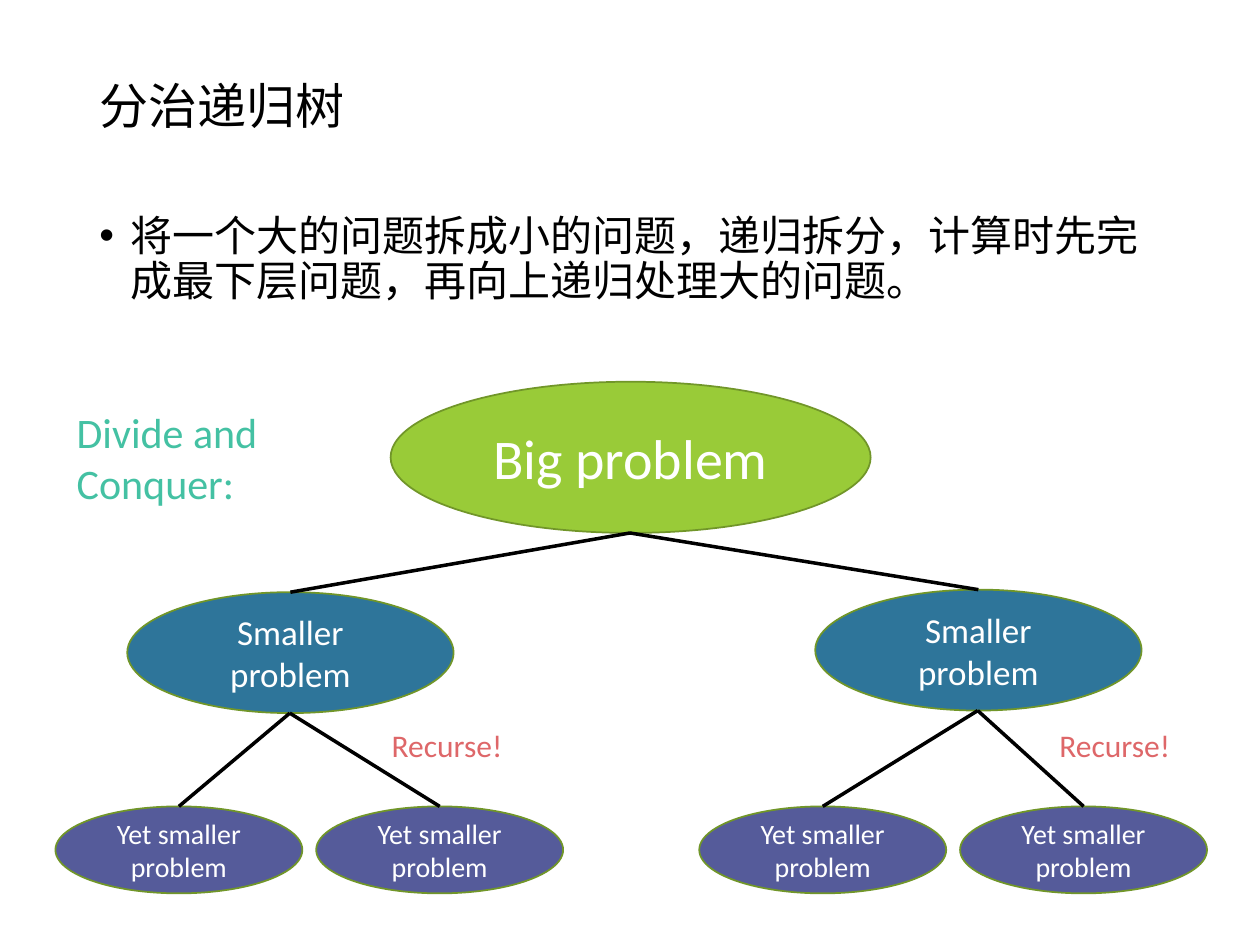
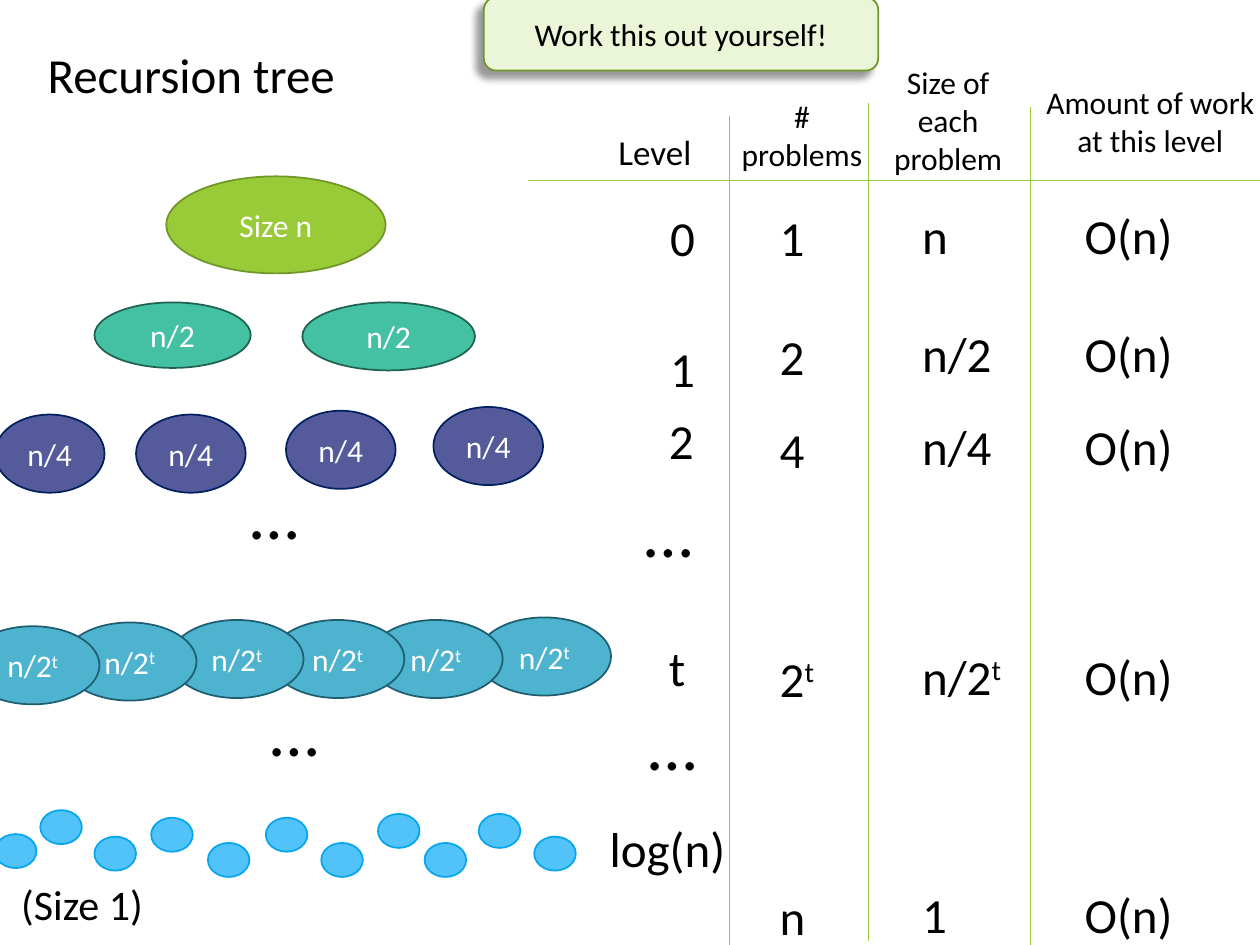
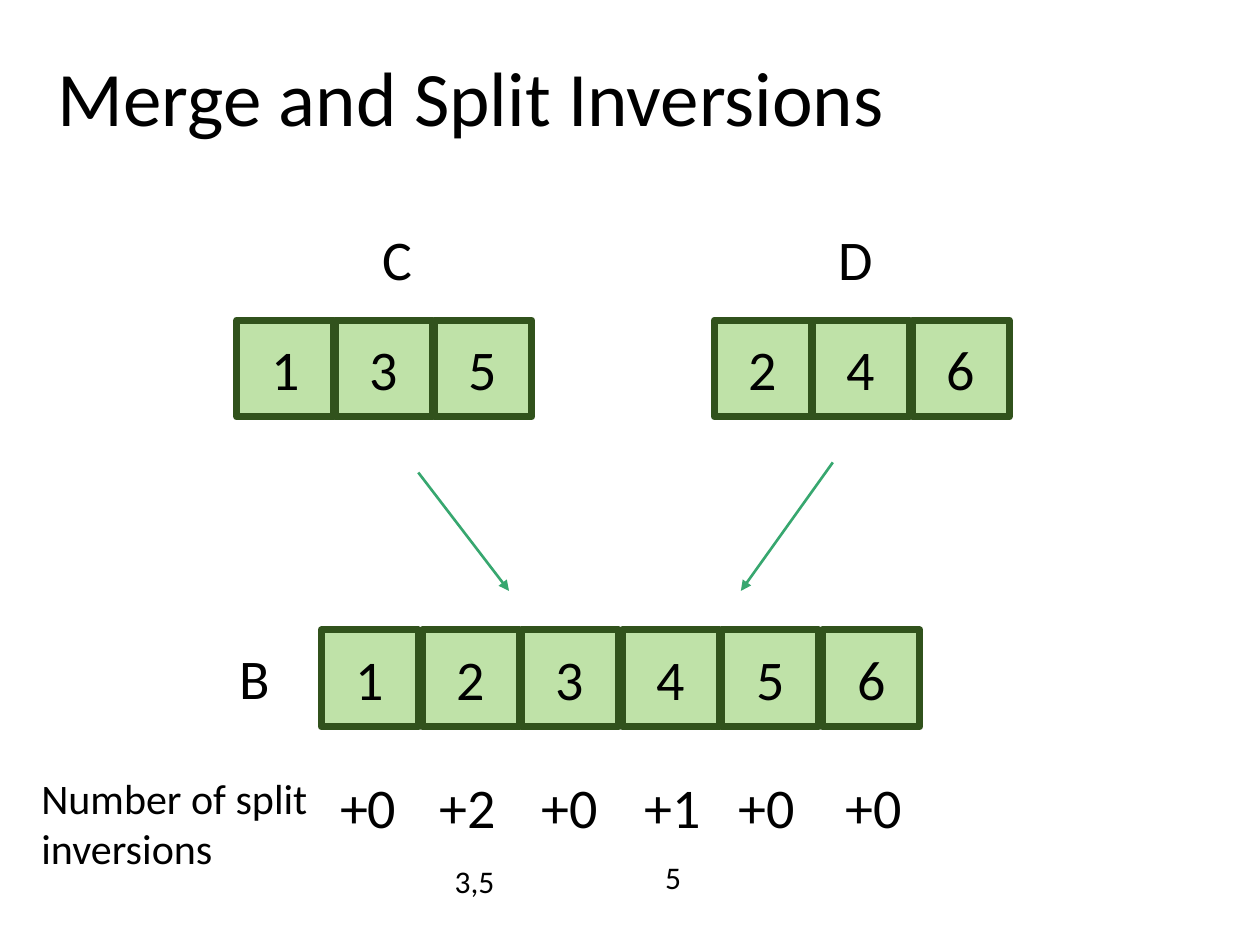
from dataclasses import dataclass

from lxml.etree import SubElement
from pptx import Presentation
from pptx.dml.color import RGBColor
from pptx.enum.shapes import MSO_CONNECTOR, MSO_SHAPE as Shape
from pptx.enum.text import MSO_ANCHOR as Anchor, MSO_AUTO_SIZE as AutoSize, PP_ALIGN as Align
from pptx.oxml.ns import qn
from pptx.util import Pt

PX = 9144  # 100 px to the inch


@dataclass(frozen=True)
class Theme:
    font: str = "Calibri"
    ink: str = "000000"
    paper: str = "FFFFFF"
    green: str = "99CB38"
    green_edge: str = "719629"
    pale_green: str = "EBF5D7"
    blue: str = "2E759A"
    violet: str = "555B9A"
    navy: str = "002060"
    mint: str = "44C1A3"
    mint_edge: str = "206252"
    teal: str = "4EB3CF"
    teal_edge: str = "1E5E70"
    sky: str = "51C3F9"
    sky_edge: str = "08A5EF"
    red: str = "DE6769"
    cell: str = "BFE2A8"
    cell_edge: str = "31521C"
    arrow: str = "37A76F"
    banner: int = 44
    dots: int = 40
    big: int = 32
    title: int = 28
    body: int = 24
    medium: int = 20
    small: int = 18
    tiny: int = 16


T = Theme()

# ---- Content: divide and conquer tree ----
TREE_TITLE = ("分治递归树", (69, 40, 862, 92), T.title)
TREE_POINT = "将一个大的问题拆成小的问题，递归拆分，计算时先完成最下层问题，再向上递归处理大的问题。"
# level: text, size, fill, type size, (left, top, index of parent in the level above)
TREE_LEVELS = [
    ("Big problem", (381, 120), T.green, T.big, [(310, 303, None)]),
    ("Smaller problem", (259, 96), T.blue, T.medium, [(101, 470, 0), (647, 468, 0)]),
    ("Yet smaller problem", (196, 69), T.violet, T.tiny,
     [(44, 640, 0), (251, 640, 0), (555, 640, 1), (762, 640, 1)]),
]
RECURSE_LEFTS = [301, 831]

# ---- Content: recursion tree and its table of costs ----
COST_TITLE = ("Recursion tree", (28, 23, 358, 77), T.title)
# text, size, fill, edge, places from back to front
BUBBLES = [
    ("Size n", (174, 77), T.green, T.green_edge, [(132, 140)]),
    ("n/2", (137, 54), T.mint, T.mint_edge, [(240, 240)]),
    ("n/2", (124, 52), T.mint, T.mint_edge, [(75, 240)]),
    ("n/4", (87, 62), T.violet, T.navy, [(344, 323), (227, 326), (108, 329), (-4, 329)]),
    ("n/2^t", (106, 62), T.teal, T.teal_edge,
     [(379, 490), (293, 492), (215, 492), (135, 492), (50, 494), (-27, 497)]),
    ("", (33, 27), T.sky, T.sky_edge,
     [(424, 664), (380, 646), (337, 669), (300, 646), (255, 669), (211, 649),
      (165, 669), (120, 649), (75, 664), (32, 643), (-4, 662)]),
]
ELLIPSIS_PLACES = [(189, 368), (205, 540), (502, 382), (505, 551)]
LEVELS = [("0", (522, 160, 40, 57)), ("1", (522, 264, 40, 57)), ("2", (521, 321, 43, 57)),
          ("t", (521, 501, 43, 57)), ("log(n)", (474, 645, 122, 57))]
# heading, box, wraps
HEADINGS = [
    ("#\nproblems", (578, 72, 117, 71), False),
    ("Size of each\nproblem", (697, 45, 111, 101), True),
    ("Amount of work at this level", (810, 61, 206, 71), True),
]
COST_COLUMNS = [
    ((609, 160, 80, 549), ["1", "2", "4", "2^t", "n"]),
    ((722, 158, 101, 549), ["n", "n/2", "n/4", "n/2^t", "1"]),
    ((851, 158, 162, 549), ["O(n)"] * 5),
]
ROW_GAPS = [0, 34, 19.5, 97.5, 102.5]  # points above each row
COLUMN_RULES = [(579, 92), (689, 82), (818, 85)]
RULE_LENGTH = 665
HEADING_RULE = ((419, 143), (1065, 143))
CALLOUT = ("Work this out yourself!", (384, -2, 313, 58))

# ---- Content: merge ----
MERGE_TITLE = ("Merge and Split Inversions", (36, 8, 862, 145), T.banner)
CELL = 77
# values, left of first and last cell, top
ARRAYS = [("135", 188, 345, 254), ("246", 567, 724, 254), ("123456", 255, 653, 500)]
ARRAY_NAMES = [("C", (294, 173, 44, 64)), ("D", (656, 173, 48, 64)), ("B", (180, 506, 44, 64))]
COUNTS = [("+0", 260), ("+2", 339), ("+0", 420), ("+1", 502), ("+0", 576), ("+0", 661)]
COUNT_TOP = 608
PAIRS = [("3,5", (351, 679, 52, 40)), ("5", (518, 676, 33, 40))]
MERGE_ARROWS = [((332, 375), (404, 469)), ((661, 367), (588, 469))]


# ---- Shared drawing ----
def emu(lengths):
    return [length * PX for length in lengths]


def rgb(colour):
    return RGBColor.from_string(colour)


def write(frame, text, size, colour, align):
    """Fill a frame; a caret marks a superscript."""
    frame.text = "\n".join(line.split("^")[0] for line in text.split("\n"))
    for paragraph, line in zip(frame.paragraphs, text.split("\n")):
        paragraph.alignment = align
        if "^" in line:
            power = paragraph.add_run()
            power.text = line.split("^")[1]
            power.font._element.set("baseline", "30000")
        for run in paragraph.runs:
            run.font.name, run.font.size = T.font, Pt(size)
            run.font.color.rgb = rgb(colour)


def label(slide, text, box, size, colour=T.ink, align=Align.LEFT, wrap=True, grow=True):
    frame = slide.shapes.add_textbox(*emu(box)).text_frame
    frame.word_wrap = wrap
    frame.auto_size = AutoSize.SHAPE_TO_FIT_TEXT if grow else AutoSize.NONE
    write(frame, text, size, colour, align)
    return frame


def heading(slide, text, box, size):
    frame = label(slide, text, box, size, grow=False)
    frame.vertical_anchor = Anchor.MIDDLE
    frame.paragraphs[0].line_spacing = 0.9


def solid(slide, kind, box, fill, edge, text="", size=T.small, colour=T.paper, width=1):
    shape = slide.shapes.add_shape(kind, *emu(box))
    shape.shadow.inherit = False
    shape.fill.solid()
    shape.fill.fore_color.rgb = rgb(fill)
    shape.line.color.rgb, shape.line.width = rgb(edge), Pt(width)
    if text:
        shape.text_frame.vertical_anchor = Anchor.MIDDLE
        write(shape.text_frame, text, size, colour, Align.CENTER)
    return shape


def line(slide, start, end, colour, width, arrow=False):
    link = slide.shapes.add_connector(MSO_CONNECTOR.STRAIGHT, *emu(start + end))
    link.line.color.rgb, link.line.width = rgb(colour), Pt(width)
    if arrow:
        SubElement(link.line._get_or_add_ln(), qn("a:tailEnd"), type="triangle")
    SubElement(link._element.spPr, qn("a:effectLst"))
    return link


# ---- Slides ----
def divide_slide(slide):
    heading(slide, *TREE_TITLE)
    point = label(slide, TREE_POINT, (69, 166, 862, 125), T.body, grow=False).paragraphs[0]
    point.line_spacing = 0.9
    margins = point._p.get_or_add_pPr()
    margins.set("marL", str(25 * PX))
    margins.set("indent", str(-25 * PX))
    SubElement(margins, qn("a:buFont"), typeface="Arial")
    SubElement(margins, qn("a:buChar"), char="•")

    # Nodes, each joined to the bottom of its parent
    feet = []
    for text, (width, height), fill, size, places in TREE_LEVELS:
        next_feet = []
        for left, top, parent in places:
            node = solid(slide, Shape.OVAL, (left, top, width, height), fill,
                         T.green_edge, text, size)
            middle = left + width // 2
            if parent is not None:
                line(slide, feet[parent], (middle, top), T.ink, 2).end_connect(node, 0)
            next_feet.append((middle, top + height))
        feet = next_feet

    label(slide, "Divide and Conquer:", (51, 318, 182, 91), T.body, T.mint)
    for left in RECURSE_LEFTS:
        label(slide, "Recurse!", (left, 571, 109, 40), T.small, T.red, wrap=False)


def cost_slide(slide):
    heading(slide, *COST_TITLE)
    for text, size, fill, edge, places in BUBBLES:
        for place in places:
            solid(slide, Shape.OVAL, place + size, fill, edge, text)
    for place in ELLIPSIS_PLACES:
        label(slide, "…", place + (57, 77), T.dots)
    label(slide, "(Size 1)", (7, 692, 118, 50), T.body, wrap=False)

    # Table of costs
    label(slide, "Level", (481, 99, 79, 44), T.medium, wrap=False)
    for text, box, wrap in HEADINGS:
        label(slide, text, box, T.small, align=Align.CENTER, wrap=wrap)
    line(slide, *HEADING_RULE, T.green, 0.5)
    for x, top in COLUMN_RULES:
        line(slide, (x, top), (x, top + RULE_LENGTH), T.green, 0.5)
    for text, box in LEVELS:
        label(slide, text, box, T.title)
    for box, rows in COST_COLUMNS:
        column = label(slide, "\n".join(rows), box, T.title)
        for paragraph, gap in list(zip(column.paragraphs, ROW_GAPS))[1:]:
            paragraph.space_before = Pt(gap)

    # Callout with its shadow
    text, box = CALLOUT
    callout = solid(slide, Shape.ROUNDED_RECTANGLE, box, T.pale_green, T.green_edge,
                    text, colour=T.ink)
    effects = callout._element.spPr.find(qn("a:effectLst"))
    shadow = SubElement(effects, qn("a:outerShdw"), blurRad=str(Pt(4)), dist=str(Pt(6)),
                        dir=str(135 * 60000), algn="tr", rotWithShape="0")
    shade = SubElement(shadow, qn("a:srgbClr"), val=T.ink)
    SubElement(shade, qn("a:alpha"), val="40000")


def merge_slide(slide):
    heading(slide, *MERGE_TITLE)
    for values, first, last, top in ARRAYS:
        for i, value in enumerate(values):
            left = first + round((last - first) * i / (len(values) - 1))
            solid(slide, Shape.RECTANGLE, (left, top, CELL, CELL), T.cell, T.cell_edge,
                  value, T.big, T.ink, width=4)
    for name, box in ARRAY_NAMES:
        label(slide, name, box, T.big, wrap=False)
    for start, end in MERGE_ARROWS:
        line(slide, start, end, T.arrow, 1.5, arrow=True)

    # Split inversions under each cell
    label(slide, "Number of split inversions", (23, COUNT_TOP, 233, 91), T.body)
    for count, left in COUNTS:
        label(slide, count, (left, COUNT_TOP, 65, 64), T.big, wrap=False)
    for pair, box in PAIRS:
        label(slide, pair, box, T.small, wrap=False)


def main():
    deck = Presentation()
    deck.slide_width, deck.slide_height = emu((1000, 750))
    for draw in (divide_slide, cost_slide, merge_slide):
        draw(deck.slides.add_slide(deck.slide_layouts[6]))
    deck.save("out.pptx")


if __name__ == "__main__":
    main()
